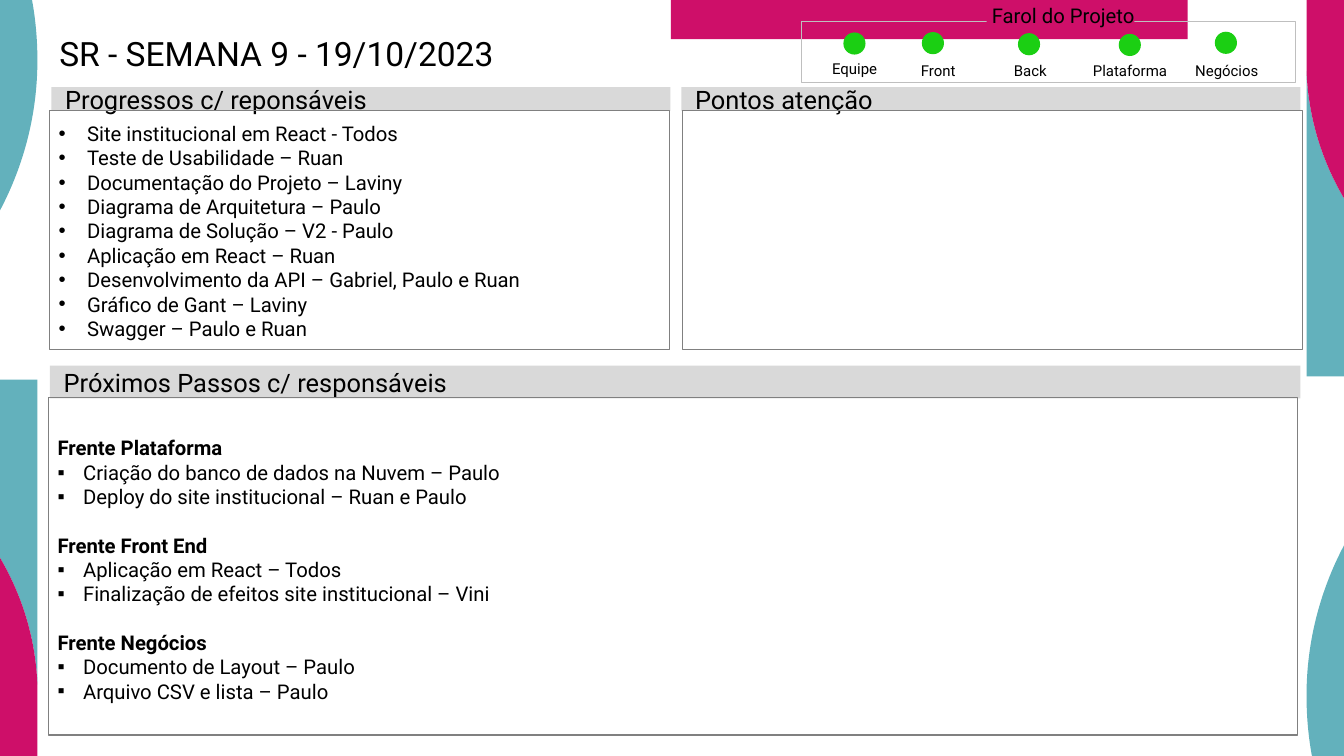
"""Build the weekly project status slide with its progress, attention and next-step panels."""
import pptx
import pptx.dml.color
import pptx.enum.shapes
import pptx.enum.text
import pptx.oxml.ns
import lxml.etree

Cm = pptx.util.Cm
Shape = pptx.enum.shapes.MSO_SHAPE
Anchor = pptx.enum.text.MSO_ANCHOR
Align = pptx.enum.text.PP_ALIGN
qn = pptx.oxml.ns.qn

WIDTH, HEIGHT = 37.34, 21.01
TEAL, PINK, GREEN = "63B1BC", "CE0F69", "1BCF13"
BLACK, HEADER_GRAY, BORDER_GRAY, FRAME_GRAY = "000000", "D9D9D9", "808080", "BFBFBF"


def paint(fill, color):
    if color is None:
        fill.background()
    else:
        fill.solid()
        fill.fore_color.rgb = pptx.dml.color.RGBColor.from_string(color)


def write(shape, text, size=16, bold=False, align=Align.LEFT, anchor=Anchor.TOP, wrap=True,
          insets=(0.25, 0.3, 0.25, 0.13), bullet=None, indent=0, before=0, spacing=1.0):
    frame = shape.text_frame
    frame.word_wrap = wrap
    frame.vertical_anchor = anchor
    frame.margin_left, frame.margin_top, frame.margin_right, frame.margin_bottom = map(Cm, insets)
    paragraph = frame.add_paragraph() if frame.text else frame.paragraphs[0]
    paragraph.alignment = align
    paragraph.line_spacing = spacing
    paragraph.space_before = pptx.util.Pt(before)
    run = paragraph.add_run()
    run.text = text
    run.font.name = "Roboto"
    run.font.size = pptx.util.Pt(size)
    run.font.bold = bold
    paint(run.font.fill, BLACK)
    if bullet:
        properties = paragraph._p.get_or_add_pPr()
        properties.set("marL", str(Cm(indent)))
        properties.set("indent", str(-Cm(indent)))
        lxml.etree.SubElement(properties, qn("a:buFont")).set("typeface", "Arial")
        lxml.etree.SubElement(properties, qn("a:buChar")).set("char", bullet)


presentation = pptx.Presentation()
presentation.slide_width = Cm(WIDTH)
presentation.slide_height = Cm(HEIGHT)
slide = presentation.slides.add_slide(presentation.slide_layouts[6])
shapes = slide.shapes

right_outlines = [
    (TEAL, [[(36.45, 21.01)], [(37.34, 21.01)], [(37.34, 15.16)],
            [(36.68, 16.41), (36.3, 17.83), (36.3, 19.33)],
            [(36.3, 19.91), (36.35, 20.47), (36.45, 21.01)]]),
    (TEAL, [[(36.3, 1.98)], [(36.3, 10.46)], [(37.34, 10.46)], [(37.34, 5.51)],
            [(36.73, 4.47), (36.35, 3.28), (36.3, 1.98)]]),
    (PINK, [[(37.34, 5.51)], [(37.34, 0)], [(36.3, 0)], [(36.3, 1.98)],
            [(36.35, 3.28), (36.73, 4.47), (37.34, 5.51)]]),
]
for color, right_outline in right_outlines:
    left_outline = [[(WIDTH - x, HEIGHT - y) for x, y in part] for part in right_outline]
    for outline in (right_outline, left_outline):
        parts = [[(Cm(x), Cm(y)) for x, y in part] for part in outline]
        builder = shapes.build_freeform(*parts[0][0])
        builder.add_line_segments([part[-1] for part in parts[1:]], close=True)
        side_shape = builder.convert_to_shape()
        side_shape.shadow.inherit = False
        paint(side_shape.fill, color)
        paint(side_shape.line.fill, None)
        segments = list(side_shape._element.iter(qn("a:lnTo")))
        for segment, part in zip(segments, parts[1:]):
            if len(part) == 3:
                curve = lxml.etree.Element(qn("a:cubicBezTo"))
                for x, y in part:
                    point = lxml.etree.SubElement(curve, qn("a:pt"))
                    point.set("x", str(x - side_shape.left))
                    point.set("y", str(y - side_shape.top))
                segment.getparent().replace(segment, curve)

title = shapes.add_textbox(Cm(1.35), Cm(1.04), Cm(33.6), Cm(2.24))
write(title, "SR - SEMANA 9 - 19/10/2023", size=26.4, insets=(0.3, 0, 0.3, 0), spacing=0.9)

lights = [
    ("Equipe", 23.45, 0.92, 22.5, 1.65),
    ("Front", 25.63, 0.91, 24.82, 1.7),
    ("Back", 28.3, 0.94, 27.38, 1.7),
    ("Plataforma", 31.1, 0.96, 30.15, 1.7),
    ("Negócios", 33.77, 0.9, 32.84, 1.7),
]
boxes = {}
for name, kind, left, top, width, height, fill, line, line_width in [
    ("top band", Shape.RECTANGLE, 18.64, 0, 14.36, 1.09, PINK, None, 0),
    ("progress header", Shape.RECTANGLE, 1.43, 2.42, 17.2, 0.66, HEADER_GRAY, None, 0),
    ("attention header", Shape.RECTANGLE, 18.93, 2.42, 17.2, 0.66, HEADER_GRAY, None, 0),
    ("next steps header", Shape.RECTANGLE, 1.39, 10.16, 34.74, 0.91, HEADER_GRAY, None, 0),
    ("progress", Shape.RECTANGLE, 1.38, 3.07, 17.23, 6.64, None, BORDER_GRAY, 1),
    ("attention", Shape.RECTANGLE, 18.96, 3.07, 17.23, 6.64, None, BORDER_GRAY, 1),
    ("next steps", Shape.RECTANGLE, 1.35, 11.05, 34.71, 9.38, None, BORDER_GRAY, 1),
    ("lights frame", Shape.RECTANGLE, 22.27, 0.58, 13.72, 1.71, None, FRAME_GRAY, 0.5),
    ("lights title", Shape.RECTANGLE, 27.41, 0.18, 4.11, 0.58, PINK, None, 0),
    *[(label, Shape.OVAL, x, y, 0.58, 0.58, GREEN, GREEN, 1) for label, x, y, _, _ in lights],
]:
    shape = shapes.add_shape(kind, Cm(left), Cm(top), Cm(width), Cm(height))
    shape.shadow.inherit = False
    paint(shape.fill, fill)
    paint(shape.line.fill, line)
    if line:
        shape.line.width = pptx.util.Pt(line_width)
    boxes[name] = shape

for label, _, _, left, top in lights:
    caption = shapes.add_textbox(Cm(left), Cm(top), Cm(2.49), Cm(0.51))
    write(caption, label, size=11.8, align=Align.CENTER, anchor=Anchor.BOTTOM, wrap=False,
          insets=(0.15, 0.15, 0.15, 0))
write(boxes["lights title"], "Farol do Projeto", align=Align.CENTER, anchor=Anchor.BOTTOM,
      wrap=False, insets=(0.3, 0.15, 0.15, 0))

for name, text in [
    ("progress header", "Progressos c/ reponsáveis"),
    ("attention header", "Pontos atenção"),
    ("next steps header", "Próximos Passos c/ responsáveis"),
]:
    write(boxes[name], text, size=20, anchor=Anchor.MIDDLE, insets=(0.38, 0.18, 0.38, 0.18))

for item in [
    "Site institucional em React - Todos",
    "Teste de Usabilidade – Ruan",
    "Documentação do Projeto – Laviny",
    "Diagrama de Arquitetura – Paulo",
    "Diagrama de Solução – V2 - Paulo",
    "Aplicação em React – Ruan",
    "Desenvolvimento da API – Gabriel, Paulo e Ruan",
    "Gráfico de Gant – Laviny",
    "Swagger – Paulo e Ruan",
]:
    write(boxes["progress"], item, bullet="•", indent=0.79)

fronts = {
    "Frente Plataforma": ["Criação do banco de dados na Nuvem – Paulo",
                          "Deploy do site institucional – Ruan e Paulo"],
    "Frente Front End": ["Aplicação em React – Todos",
                         "Finalização de efeitos site institucional – Vini"],
    "Frente Negócios": ["Documento de Layout – Paulo", "Arquivo CSV e lista – Paulo"],
}
for index, (front, steps) in enumerate(fronts.items()):
    write(boxes["next steps"], front, bold=True, anchor=Anchor.MIDDLE, before=19 if index else 0)
    for step in steps:
        write(boxes["next steps"], step, anchor=Anchor.MIDDLE, bullet="▪", indent=0.71)

presentation.save("out.pptx")
